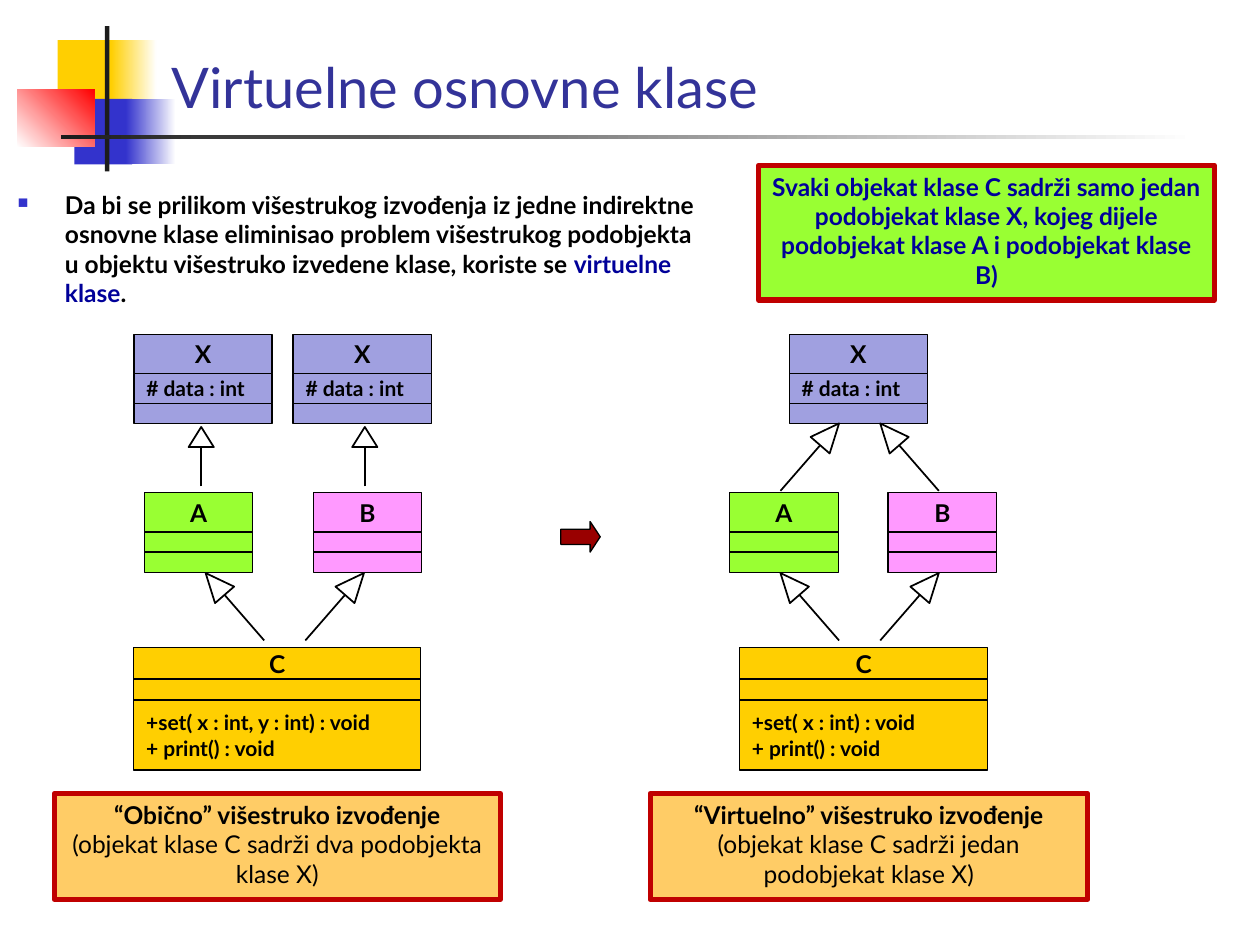
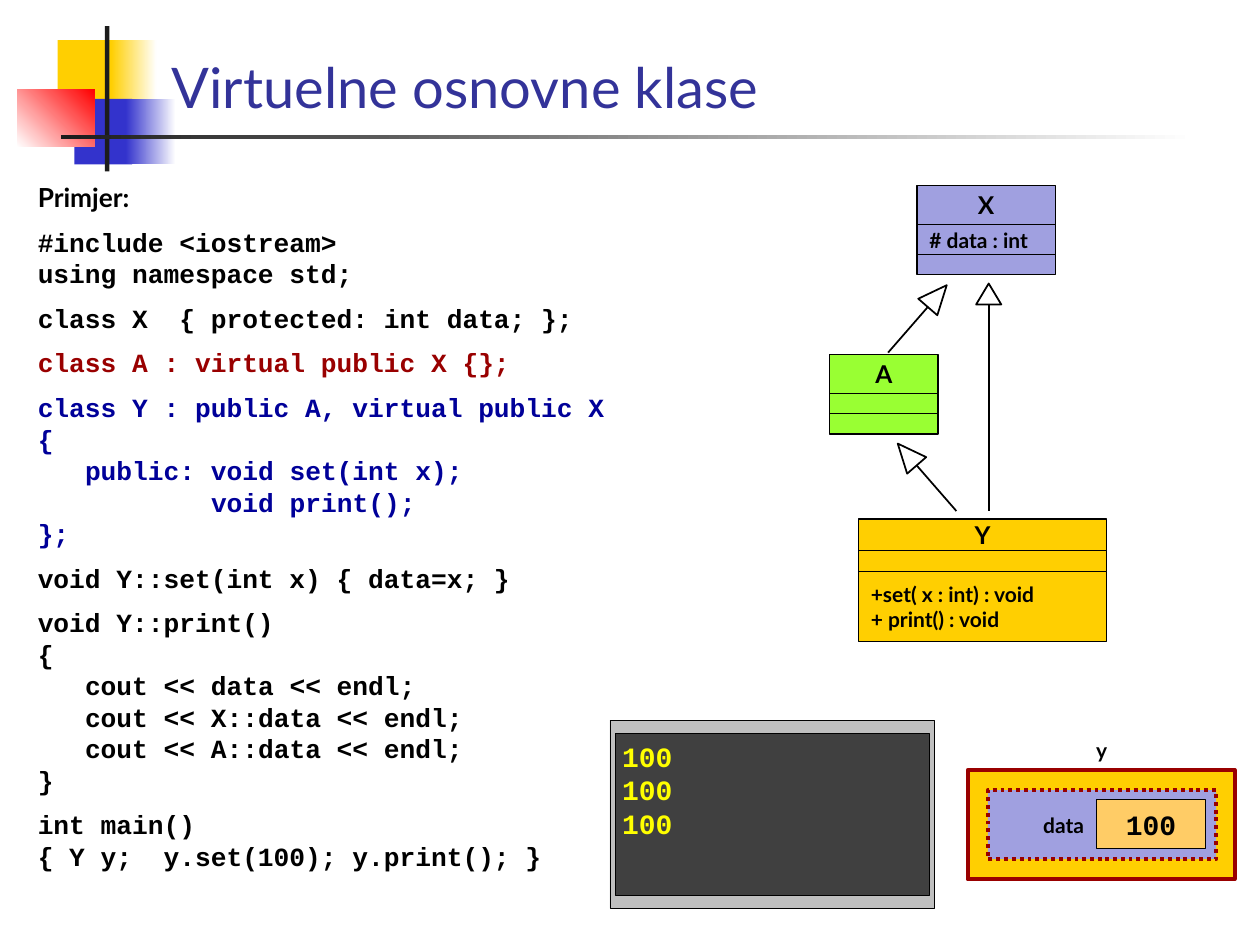
from math import atan2, cos, degrees, sin

from lxml.etree import SubElement
from pptx import Presentation
from pptx.dml.color import RGBColor
from pptx.enum.dml import MSO_LINE as Dash
from pptx.enum.shapes import MSO_CONNECTOR as Link, MSO_SHAPE as Form
from pptx.enum.text import MSO_ANCHOR as Anchor, PP_ALIGN as Align
from pptx.oxml.ns import qn
from pptx.util import Pt

BLACK, WHITE, NAVY, MAROON = "000000", "FFFFFF", "000099", "990000"
GOLD, BLUE, LILAC, LIME, PINK = "FFCF01", "3333CC", "A0A0E0", "99FF33", "FF99FF"
PEACH, CRIMSON, DARK = "FFCC66", "C00000", "1C1C1C"
SANS, MONO = "Lato", "Courier New"
MID = {"vertical_anchor": Anchor.MIDDLE, "margin_top": 0, "margin_bottom": 0}
CENTER = {"alignment": Align.CENTER}


def tint(code):
    return RGBColor.from_string(code)


def style(thing, values):
    for name, value in values.items():
        setattr(thing, name, value)


def paint(shape, fill, edge=BLACK, width=0.75):
    shape.shadow.inherit = False
    if fill:
        shape.fill.solid()
        shape.fill.fore_color.rgb = tint(fill)
    else:
        shape.fill.background()
    if edge:
        shape.line.color.rgb = tint(edge)
        shape.line.width = Pt(width)
    else:
        shape.line.fill.background()


def block(slide, box, fill, edge=BLACK, width=0.75, form=Form.RECTANGLE):
    shape = slide.shapes.add_shape(form, *map(Pt, box))
    paint(shape, fill, edge, width)
    return shape


def label(slide, box):
    return slide.shapes.add_textbox(*map(Pt, box))


def frame(shape, values):
    text = shape.text_frame
    style(text, {"word_wrap": True, "vertical_anchor": Anchor.TOP} | values)
    return text


def add_run(para, words, size=14, color=BLACK, bold=True, face=SANS):
    run = para.add_run()
    run.text = words
    style(run.font, {"size": Pt(size), "bold": bold, "name": face})
    run.font.color.rgb = tint(color)


def write(shape, lines, look, place, **font):
    text = frame(shape, place)
    for index, words in enumerate(lines):
        para = text.add_paragraph() if index else text.paragraphs[0]
        style(para, look)
        add_run(para, words, **font)


def fade(slide, box, start, end, angle=0):
    shape = block(slide, box, WHITE, None)
    shape.fill.gradient()
    shape.fill.gradient_angle = angle
    for stop, code in zip(shape.fill.gradient_stops, (start, end)):
        stop.color.rgb = tint(code)


def banner(slide, x, y):
    block(slide, (x + 23, y + 8, 35, 37.5), GOLD, None)
    fade(slide, (x + 53.5, y + 8, 26, 37.5), GOLD, WHITE)
    block(slide, (x + 32.5, y + 41.5, 33, 37.5), BLUE, None)
    fade(slide, (x + 62, y + 41.5, 28.5, 37.5), BLUE, WHITE)
    fade(slide, (x, y + 36, 44, 33), WHITE, "FF0000", 45)
    block(slide, (x + 50, y, 2.5, 83), DARK, None)
    fade(slide, (x + 25, y + 62, 648, 2.5), DARK, WHITE)
    title = label(slide, (x + 81, y - 5.5, 629, 62.5))
    write(title, ["Virtuelne osnovne klase"], {}, {"vertical_anchor": Anchor.BOTTOM},
          size=32, color="333399", bold=False)


def arrow(slide, tail, tip, length):
    angle = atan2(tip[0] - tail[0], tail[1] - tip[1])
    base = tip[0] - length * sin(angle), tip[1] + length * cos(angle)
    line = slide.shapes.add_connector(Link.STRAIGHT, *map(Pt, tail + base))
    line.line.color.rgb = tint(BLACK)
    line.line.width = Pt(1)
    SubElement(line._element.spPr, qn("a:effectLst"))
    mid_x, mid_y = (tip[0] + base[0]) / 2, (tip[1] + base[1]) / 2
    head = block(slide, (mid_x - 7.2, mid_y - length / 2, 14.4, length),
                 None, BLACK, 1, Form.ISOSCELES_TRIANGLE)
    head.rotation = degrees(angle)


def card(slide, box, fill, rows):
    x, y, width = box
    for index, (height, lines) in enumerate(rows):
        cell = block(slide, (x, y, width, height), fill)
        if lines:
            write(cell, lines, {"alignment": Align.LEFT if index else Align.CENTER},
                  MID, size=12 if index else 14)
        y += height


def root(slide, x, y):
    card(slide, (x, y, 79), LILAC,
         [(22.5, ["X"]), (17, ["# data : int"]), (11.5, [])])


def child(slide, x, y, name, fill):
    card(slide, (x, y, 62), fill, [(22.5, [name]), (11.5, []), (11.5, [])])


def leaf(slide, x, y, width, name, setter):
    card(slide, (x, y, width), GOLD,
         [(18, [name]), (12, []), (40, [setter, "+ print() : void"])])


def rise(slide, x, y, side):
    arrow(slide, (x, y + 38.5), (x + 33.5 * side, y), 16.5)


def plain_net(slide, x, y):
    for left in (0, 91):
        root(slide, x + left, y)
    for middle in (38.5, 132):
        arrow(slide, (x + middle, y + 87), (x + middle, y + 53), 11.5)
    child(slide, x + 6, y + 90.5, "A", LIME)
    child(slide, x + 102.5, y + 90.5, "B", PINK)
    rise(slide, x + 74.5, y + 136.5, -1)
    rise(slide, x + 98, y + 136.5, 1)
    leaf(slide, x, y + 179, 164, "C", "+set( x : int, y : int) : void")


def shared_net(slide, x, y):
    root(slide, x + 34, y)
    child(slide, x, y + 90.5, "A", LIME)
    child(slide, x + 90.5, y + 90.5, "B", PINK)
    rise(slide, x + 29, y + 51, 1)
    rise(slide, x + 119.5, y + 51, -1)
    rise(slide, x + 62.5, y + 136.5, -1)
    rise(slide, x + 86, y + 136.5, 1)
    leaf(slide, x + 5.5, y + 179, 142, "C", "+set( x : int) : void")


def mixed_net(slide, x, y):
    root(slide, x + 50, y)
    child(slide, x, y + 96.5, "A", LIME)
    rise(slide, x + 33.5, y + 57, 1)
    rise(slide, x + 72.5, y + 147.5, -1)
    arrow(slide, (x + 91, y + 186), (x + 91, y + 56), 12)
    leaf(slide, x + 16.5, y + 190.5, 142, "Y", "+set( x : int) : void")


def caption(slide, box, head, note):
    shape = block(slide, box, PEACH, CRIMSON, 3)
    write(shape, [head, note], CENTER, {})
    shape.text_frame.paragraphs[1].runs[0].font.bold = False


def intro(slide, box):
    para = frame(label(slide, box), {}).paragraphs[0]
    props = para._p.get_or_add_pPr()
    props.set("marL", str(Pt(27)))
    props.set("indent", str(-Pt(27)))
    mark = SubElement(props, qn("a:buClr"))
    SubElement(mark, qn("a:srgbClr"), val=BLUE)
    SubElement(props, qn("a:buSzPct"), val="60000")
    SubElement(props, qn("a:buChar"), char="■")
    add_run(para, "Da bi se prilikom višestrukog izvođenja iz jedne indirektne osnovne "
            "klase eliminisao problem višestrukog podobjekta u objektu višestruko "
            "izvedene klase, koriste se ")
    add_run(para, "virtuelne klase", color=NAVY)
    add_run(para, ".")


CODE = [
    (BLACK, [(0, "#include <iostream>"), (0, "using namespace std;")]),
    (BLACK, [(0, "class X  { protected: int data; };")]),
    (MAROON, [(0, "class A : virtual public X {};")]),
    (NAVY, [(0, "class Y : public A, virtual public X"), (0, "{"),
            (3, "public: void set(int x);"), (11, "void print();"), (0, "};")]),
    (BLACK, [(0, "void Y::set(int x) { data=x; }")]),
    (BLACK, [(0, "void Y::print()"), (0, "{"), (3, "cout << data << endl;"),
             (3, "cout << X::data << endl;"), (3, "cout << A::data << endl;"), (0, "}")]),
    (BLACK, [(0, "int main()"), (0, "{ Y y;  y.set(100); y.print(); }")]),
]


def listing(slide, box):
    text = frame(label(slide, box), {})
    add_run(text.paragraphs[0], "Primjer:", 15)
    for color, lines in CODE:
        for index, (depth, words) in enumerate(lines):
            para = text.add_paragraph()
            para._p.get_or_add_pPr().set("marL", str(Pt(9 * depth)))
            para.space_before = Pt(0 if index else 7.5)
            add_run(para, words, 15, color, face=MONO)


def screen(slide, x, y):
    block(slide, (x, y, 185.5, 107.5), "BFBFBF", width=0.25)
    block(slide, (x + 3, y + 7.5, 179.5, 92.5), "404040", width=0.25)
    write(label(slide, (x + 7, y + 7.5, 158, 65)), ["100"] * 3, {},
          {"margin_left": 0, "margin_right": 0}, size=16, color="FFFF00", face=MONO)


def memory(slide, x, y):
    write(label(slide, (x + 62.5, y - 22.5, 28, 22.5)), ["y"], CENTER, MID, size=12)
    block(slide, (x, y, 152.5, 62.5), GOLD, MAROON, 2.25)
    part = block(slide, (x + 11.5, y + 11.5, 130.5, 39.5), LILAC, MAROON, 2.25)
    part.line.dash_style = Dash.ROUND_DOT
    write(label(slide, (x + 23.5, y + 23, 50, 16.5)), ["data"],
          {"alignment": Align.RIGHT}, MID, size=12)
    value = block(slide, (x + 73.5, y + 17, 62.5, 28), PEACH)
    write(value, ["100"], CENTER, MID, size=16, face=MONO)


def theory(slide):
    banner(slide, 10, 15)
    intro(slide, (3, 105, 408, 80))
    plain_net(slide, 76.5, 191)
    shared_net(slide, 417, 191)
    block(slide, (320.5, 298, 22.5, 17.5), MAROON, form=Form.RIGHT_ARROW).adjustments[1] = 0.33
    caption(slide, (31, 453.5, 255, 60.5), "“Obično” višestruko izvođenje",
            "(objekat klase C sadrži dva podobjekta klase X)")
    caption(slide, (371.5, 453.5, 250, 60.5), "“Virtuelno” višestruko izvođenje",
            "(objekat klase C sadrži jedan podobjekat klase X)")
    note = block(slide, (433.5, 94.5, 260.5, 77), LIME, CRIMSON, 3)
    write(note, ["Svaki objekat klase C sadrži samo jedan podobjekat klase X, kojeg "
                 "dijele podobjekat klase A i podobjekat klase B)"], CENTER, {}, color=NAVY)


def sample(slide):
    banner(slide, 10, 15)
    listing(slide, (14.5, 100, 391, 312))
    mixed_net(slide, 474, 106)
    screen(slide, 348.5, 411.5)
    memory(slide, 553, 440)


def main():
    deck = Presentation()
    style(deck, {"slide_width": Pt(720), "slide_height": Pt(540)})
    for build in (theory, sample):
        build(deck.slides.add_slide(deck.slide_layouts[6]))
    deck.save("out.pptx")


if __name__ == "__main__":
    main()
